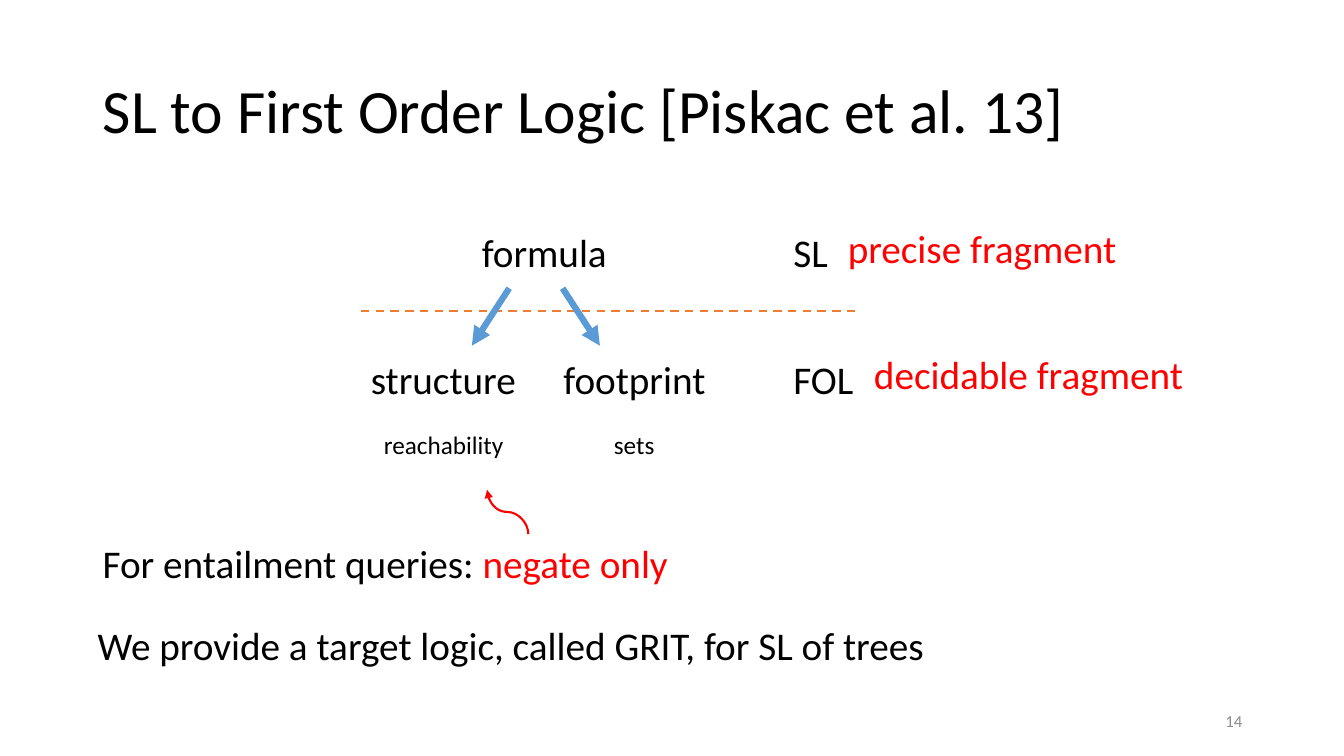
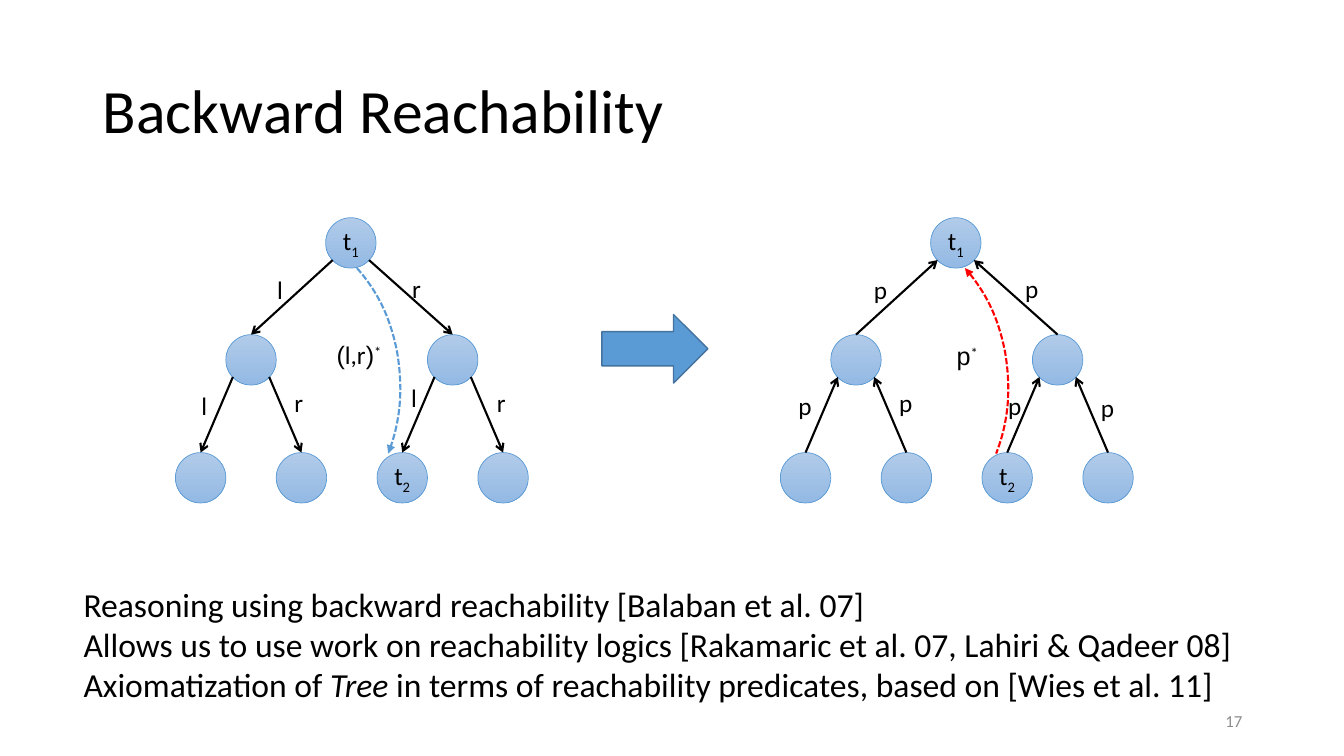
import dataclasses

import lxml.etree
import pptx
import pptx.dml.color
import pptx.enum.dml
import pptx.enum.shapes
import pptx.enum.text
import pptx.oxml.ns
import pptx.util

Inches = pptx.util.Inches
Pt = pptx.util.Pt
Align = pptx.enum.text.PP_ALIGN
Anchor = pptx.enum.text.MSO_ANCHOR
Dash = pptx.enum.dml.MSO_LINE
Preset = pptx.enum.shapes.MSO_SHAPE
Link = pptx.enum.shapes.MSO_CONNECTOR


@dataclasses.dataclass(frozen=True)
class Theme:
    font: str = "Calibri"
    symbol_font: str = "Arial"
    ink: str = "000000"
    accent: str = "FF0000"
    blue: str = "5B9BD5"
    blue_edge: str = "43739E"
    orange: str = "ED7D31"
    gray: str = "8C8C8C"
    node_fill: tuple = ("B1CBE9", "93B9E4")
    title: int = 44
    large: int = 28
    medium: int = 24
    small: int = 18
    number: int = 12


THEME = Theme()


def rgb(value):
    return pptx.dml.color.RGBColor.from_string(value)


def write_text(frame, paragraphs, size, color=THEME.ink, align=Align.LEFT, spacing=None):
    for index, pieces in enumerate(paragraphs):
        paragraph = frame.add_paragraph() if index else frame.paragraphs[0]
        paragraph.alignment = align
        paragraph.line_spacing = spacing
        for piece in pieces:
            words, style = (piece, {}) if isinstance(piece, str) else piece
            run = paragraph.add_run()
            run.text = words
            run.font.name = style.get("font", THEME.font)
            run.font.size = Pt(size)
            run.font.italic = style.get("italic")
            run.font.color.rgb = rgb(style.get("color", color))
            if "baseline" in style:
                run.font._element.set("baseline", str(style["baseline"] * 1000))


def bezier(start, control_1, control_2, end, steps=24):
    for step in range(1, steps + 1):
        t = step / steps
        weights = ((1 - t) ** 3, 3 * t * (1 - t) ** 2, 3 * t * t * (1 - t), t ** 3)
        points = (start, control_1, control_2, end)
        yield tuple(sum(w * p[axis] for w, p in zip(weights, points)) for axis in (0, 1))


class Deck:
    def __init__(self, theme):
        self.theme = theme
        self.show = pptx.Presentation()
        self.show.slide_width = Inches(13.33)
        self.show.slide_height = Inches(7.5)
        self.slide = None

    def start_slide(self, heading, number):
        self.slide = self.show.slides.add_slide(self.show.slide_layouts[5])
        title = self.slide.shapes.title
        title.left, title.top = Inches(0.92), Inches(0.4)
        title.width, title.height = Inches(11.5), Inches(1.45)
        title.text_frame.vertical_anchor = Anchor.MIDDLE
        write_text(title.text_frame, [[heading]], self.theme.title, spacing=0.9)
        footer = self.slide.shapes.add_textbox(
            Inches(9.42), Inches(6.95), Inches(3), Inches(0.4)).text_frame
        footer.word_wrap = True
        footer.vertical_anchor = Anchor.MIDDLE
        write_text(footer, [[str(number)]], self.theme.number,
                   color=self.theme.gray, align=Align.RIGHT)

    def label(self, left, top, width, height, *paragraphs, **style):
        frame = self.slide.shapes.add_textbox(
            Inches(left), Inches(top), Inches(width), Inches(height)).text_frame
        frame.word_wrap = False
        frame.auto_size = pptx.enum.text.MSO_AUTO_SIZE.SHAPE_TO_FIT_TEXT
        write_text(frame, paragraphs, **style)

    def stroke(self, item, color, weight, dash=None, head=None, tail=None):
        item.line.color.rgb = rgb(color)
        item.line.width = Pt(weight)
        if dash:
            item.line.dash_style = dash
        outline = item.line._get_or_add_ln()
        for tag, kind in (("a:headEnd", head), ("a:tailEnd", tail)):
            if kind:
                lxml.etree.SubElement(outline, pptx.oxml.ns.qn(tag), type=kind)

    def connect(self, start, end, color, weight, kind=Link.STRAIGHT, **ends):
        connector = self.slide.shapes.add_connector(
            kind, *(Inches(value) for value in (*start, *end)))
        self.stroke(connector, color, weight, **ends)
        lxml.etree.SubElement(connector._element.spPr, pptx.oxml.ns.qn("a:effectLst"))
        return connector

    def turned_curve(self, start, end, color, weight, **ends):
        middle_x, middle_y = (start[0] + end[0]) / 2, (start[1] + end[1]) / 2
        half_width, half_height = abs(start[1] - end[1]) / 2, abs(start[0] - end[0]) / 2
        curve = self.connect((middle_x - half_width, middle_y + half_height),
                             (middle_x + half_width, middle_y - half_height),
                             color, weight, kind=Link.CURVE, **ends)
        curve._element.spPr.xfrm.set("rot", str(270 * 60000))

    def arc(self, points, color, **ends):
        curve = [*bezier(*points[:4]), *bezier(*points[3:])]
        builder = self.slide.shapes.build_freeform(*(Inches(v) for v in points[0]))
        builder.add_line_segments([(Inches(x), Inches(y)) for x, y in curve], close=False)
        outline = builder.convert_to_shape()
        outline.shadow.inherit = False
        outline.fill.background()
        self.stroke(outline, color, 1.5, dash=Dash.SQUARE_DOT, **ends)

    def node(self, center, subscript=None):
        size = 0.5
        circle = self.slide.shapes.add_shape(
            Preset.OVAL, Inches(center[0] - size / 2), Inches(center[1] - size / 2),
            Inches(size), Inches(size))
        circle.shadow.inherit = False
        circle.fill.gradient()
        circle.fill.gradient_angle = 270
        for stop, color in zip(circle.fill.gradient_stops, self.theme.node_fill):
            stop.color.rgb = rgb(color)
        self.stroke(circle, self.theme.blue, 0.5)
        if subscript:
            circle.text_frame.word_wrap = False
            circle.text_frame.vertical_anchor = Anchor.MIDDLE
            write_text(circle.text_frame, [["t", (subscript, {"baseline": -25})]],
                       self.theme.small, align=Align.CENTER)
        return circle

    def block_arrow(self, left, top, width, height):
        arrow = self.slide.shapes.add_shape(
            Preset.RIGHT_ARROW, Inches(left), Inches(top), Inches(width), Inches(height))
        arrow.shadow.inherit = False
        arrow.fill.solid()
        arrow.fill.fore_color.rgb = rgb(self.theme.blue)
        self.stroke(arrow, self.theme.blue_edge, 1)

    def tree(self, left, edge_labels, arrow_ends):
        centers = [(1.74, 2.41), (0.75, 3.57), (2.75, 3.57),
                   *((0.25 + leaf, 4.74) for leaf in range(4))]
        subscripts = {0: "1", 5: "2"}
        centers = [(left + x, y) for x, y in centers]
        nodes = [self.node(c, subscripts.get(i)) for i, c in enumerate(centers)]
        for child in range(1, len(nodes)):
            x, y = centers[(child - 1) // 2]
            side = -1 if child % 2 else 1
            edge = self.connect((x + side * 0.18, y + 0.17),
                                (centers[child][0], centers[child][1] - 0.25),
                                self.theme.ink, 1.5, **arrow_ends)
            edge.end_connect(nodes[child], 0)
        widths = {"l": 0.26, "r": 0.29, "p": 0.34}
        for name, x, y in edge_labels:
            self.label(left + x, y, widths[name], 0.4, [name], size=self.theme.small)


def build_logic_slide(deck):
    theme = deck.theme
    deck.start_slide("SL to First Order Logic [Piskac et al. 13]", 14)
    deck.connect((3.58, 3.09), (8.48, 3.09), theme.orange, 1.5, dash=Dash.DASH)
    for side in (-1, 1):
        deck.connect((5.315 + side * 0.265, 2.86), (5.315 + side * 0.635, 3.43),
                     theme.blue, 4.5, tail="triangle")
    for words, left, top, width, color in (
            ("formula", 4.68, 2.22, 1.45, theme.ink),
            ("structure", 3.58, 3.48, 1.66, theme.ink),
            ("footprint", 5.49, 3.48, 1.63, theme.ink),
            ("SL", 7.77, 2.22, 0.55, theme.ink),
            ("FOL", 7.77, 3.48, 0.8, theme.ink),
            ("precise fragment", 8.31, 2.18, 2.89, theme.accent),
            ("decidable fragment", 8.57, 3.43, 3.3, theme.accent),
            ("We provide a target logic, called GRIT, for SL of trees",
             0.87, 6.11, 8.48, theme.ink)):
        deck.label(left, top, width, 0.57, [words], size=theme.large, color=color)
    deck.label(0.92, 5.3, 5.86, 0.57,
               ["For entailment queries: ", ("negate only", {"color": theme.accent})],
               size=theme.large)
    deck.label(3.71, 4.21, 1.4, 0.4, ["reachability"], size=theme.small)
    deck.label(5.99, 4.21, 0.61, 0.4, ["sets"], size=theme.small)
    deck.turned_curve((5.24, 5.3), (4.83, 4.86), theme.accent, 1.5, tail="triangle")


def build_reachability_slide(deck):
    theme = deck.theme
    deck.start_slide("Backward Reachability", 17)
    symbol = {"font": theme.symbol_font}
    star = ("*", {"baseline": 30})
    descent = [(0, 2.66), (0.23, 2.92), (0.34, 3.19), (0.4, 3.5),
               (0.45, 3.81), (0.45, 4.14), (0.31, 4.5)]

    deck.tree(1.74, [("l", 0.91, 2.67), ("r", 2.25, 2.66), ("l", 0.16, 3.82),
                     ("r", 1.08, 3.79), ("l", 2.24, 3.74), ("r", 3.09, 3.79)],
              {"tail": "arrow"})
    deck.arc([(3.54 + x, y) for x, y in descent], theme.blue, tail="triangle")
    deck.label(3.24, 3.32, 0.66, 0.4, [("(", symbol), "l,r", (")", symbol), star],
               size=theme.small)

    deck.tree(7.74, [("p", 0.83, 2.67), ("p", 2.33, 2.66), ("p", 0.08, 3.82),
                     ("p", 1.08, 3.79), ("p", 2.16, 3.82), ("p", 3.08, 3.84)],
              {"head": "arrow"})
    deck.arc([(9.57 + x, y) for x, y in descent], theme.accent, head="triangle")
    deck.label(9.39, 3.33, 0.43, 0.4, [("p", symbol), star], size=theme.small)

    deck.block_arrow(5.97, 3.12, 1.05, 0.68)
    deck.label(0.73, 5.74, 11.68, 1.31,
               ["Reasoning using backward reachability [Balaban et al. 07]"],
               ["Allows us to use work on reachability logics "
                "[Rakamaric et al. 07, Lahiri & Qadeer 08]"],
               ["Axiomatization of ", ("Tree", {"italic": True}),
                " in terms of reachability predicates, based on [Wies et al. 11]"],
               size=theme.medium)


def main():
    deck = Deck(THEME)
    build_logic_slide(deck)
    build_reachability_slide(deck)
    deck.show.save("out.pptx")


if __name__ == "__main__":
    main()
